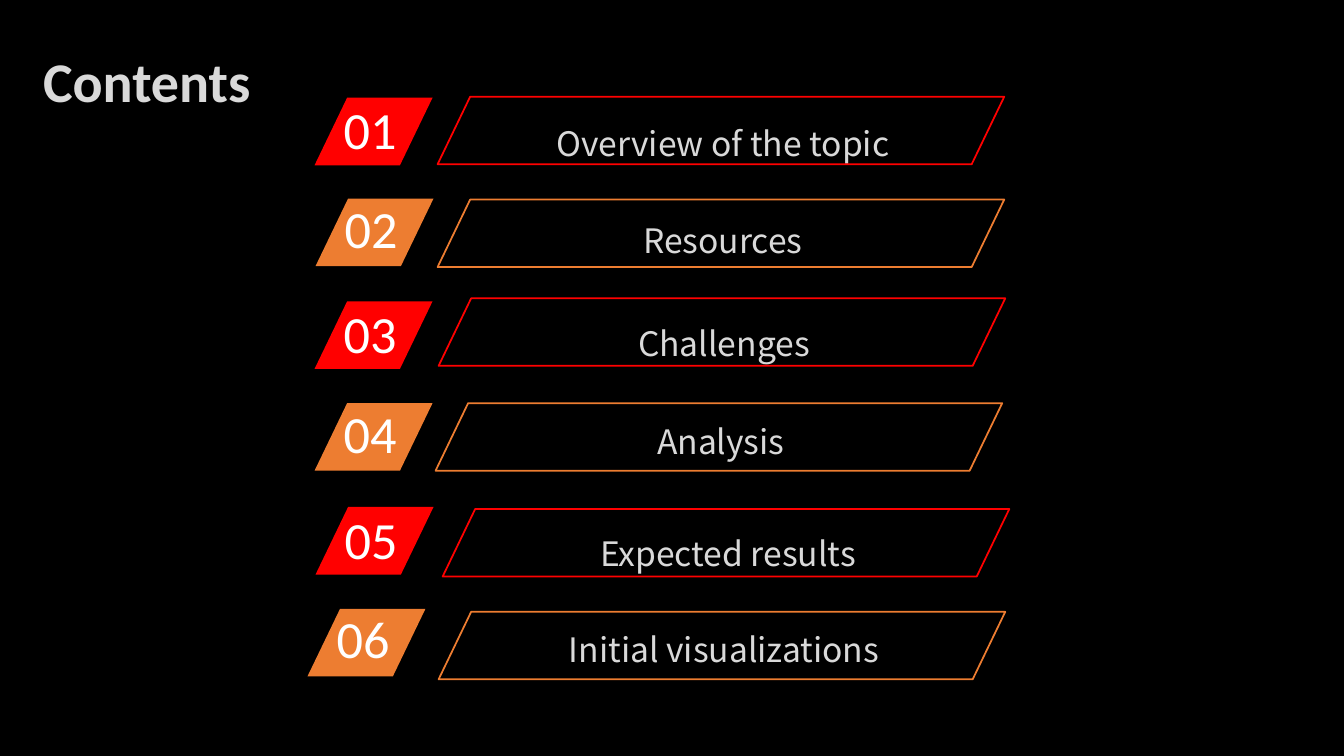
from pptx import Presentation
from pptx.dml.color import RGBColor
from pptx.enum.shapes import MSO_SHAPE
from pptx.enum.text import MSO_ANCHOR, MSO_AUTO_SIZE, PP_ALIGN
from pptx.util import Inches, Pt

COLUMNS, ROWS = 13.33, 7.5
COLORS = {"black": "000000", "red": "FF0000", "orange": "ED7D31",
          "white": "FFFFFF", "grey": "D9D9D9"}
BODY_FONT, LABEL_FONT = "Calibri", "Noto Sans CJK SC"
SLANT = 0.482
TAG_SIZE, FRAME_SIZE = (1.17, 0.67), (5.62, 0.67)
NUMBER_SIZE, LABEL_SIZE = (1.12, 0.73), (4.12, 0.68)

# label, tag (column, row), frame (column, row), row of the label
TOPICS = [
    ("Overview of the topic", (3.12, 0.97), (4.34, 0.96), 0.95),
    ("Resources", (3.13, 1.97), (4.34, 1.98), 1.91),
    ("Challenges", (3.12, 2.99), (4.35, 2.96), 2.93),
    ("Analysis", (3.12, 4), (4.32, 4), 3.91),
    ("Expected results", (3.13, 5.03), (4.39, 5.05), 5.02),
    ("Initial visualizations", (3.05, 6.04), (4.35, 6.07), 5.97),
]


def color(name):
    return RGBColor.from_string(COLORS[name])


class ContentsPage:
    def __init__(self, deck):
        self.column = deck.slide_width / COLUMNS
        self.row = deck.slide_height / ROWS
        self.page = deck.slides.add_slide(deck.slide_layouts[6])
        self.page.background.fill.solid()
        self.page.background.fill.fore_color.rgb = color("black")

    def place(self, position, size):
        """Turn grid columns and rows into slide lengths."""
        units = (self.column, self.row) * 2
        return [round(value * unit) for value, unit in zip((*position, *size), units)]

    def text(self, words, position, size, *, points, font=BODY_FONT, tint="white",
             bold=False, align=PP_ALIGN.LEFT, anchor=MSO_ANCHOR.TOP,
             insets=(0.1, 0.05), spacing=None, grow=True):
        box = self.page.shapes.add_textbox(*self.place(position, size))
        frame = box.text_frame
        frame.word_wrap = True
        frame.auto_size = MSO_AUTO_SIZE.SHAPE_TO_FIT_TEXT if grow else MSO_AUTO_SIZE.NONE
        frame.vertical_anchor = anchor
        frame.margin_left = frame.margin_right = Inches(insets[0])
        frame.margin_top = frame.margin_bottom = Inches(insets[1])
        para = frame.paragraphs[0]
        para.alignment = align
        para.line_spacing = spacing
        span = para.add_run()
        span.text = words
        span.font.name, span.font.size, span.font.bold = font, Pt(points), bold
        span.font.color.rgb = color(tint)

    def parallelogram(self, position, size, *, fill=None, line=None):
        shape = self.page.shapes.add_shape(MSO_SHAPE.PARALLELOGRAM,
                                           *self.place(position, size))
        shape.adjustments[0] = SLANT
        shape.shadow.inherit = False
        if fill:
            shape.fill.solid()
            shape.fill.fore_color.rgb = color(fill)
        else:
            shape.fill.background()
        if line:
            shape.line.color.rgb = color(line)
            shape.line.width = Pt(1.25)
        else:
            shape.line.fill.background()

    def topic(self, number, label, tag, frame, label_row):
        """Draw a numbered tag and the outlined label beside it."""
        tint, lift = ("red", 0.05) if number % 2 else ("orange", 0.07)
        self.parallelogram(tag, TAG_SIZE, fill=tint)
        self.text(f"{number:02}", (tag[0] + 0.19, tag[1] - lift), NUMBER_SIZE,
                  points=37.3)
        self.text(label, (frame[0] + 0.77, label_row), LABEL_SIZE, points=24,
                  font=LABEL_FONT, tint="grey", align=PP_ALIGN.CENTER,
                  insets=(0.14, 0.07), spacing=1.5)
        self.parallelogram(frame, FRAME_SIZE, line=tint)


def main():
    deck = Presentation()
    deck.slide_width, deck.slide_height = Inches(COLUMNS), Inches(ROWS)
    contents = ContentsPage(deck)
    contents.text("Contents", (-0.19, 0.43), (3.29, 0.72), points=40, tint="grey",
                  bold=True, align=PP_ALIGN.CENTER, anchor=MSO_ANCHOR.MIDDLE,
                  grow=False)
    for number, topic in enumerate(TOPICS, start=1):
        contents.topic(number, *topic)
    deck.save("out.pptx")


if __name__ == "__main__":
    main()
